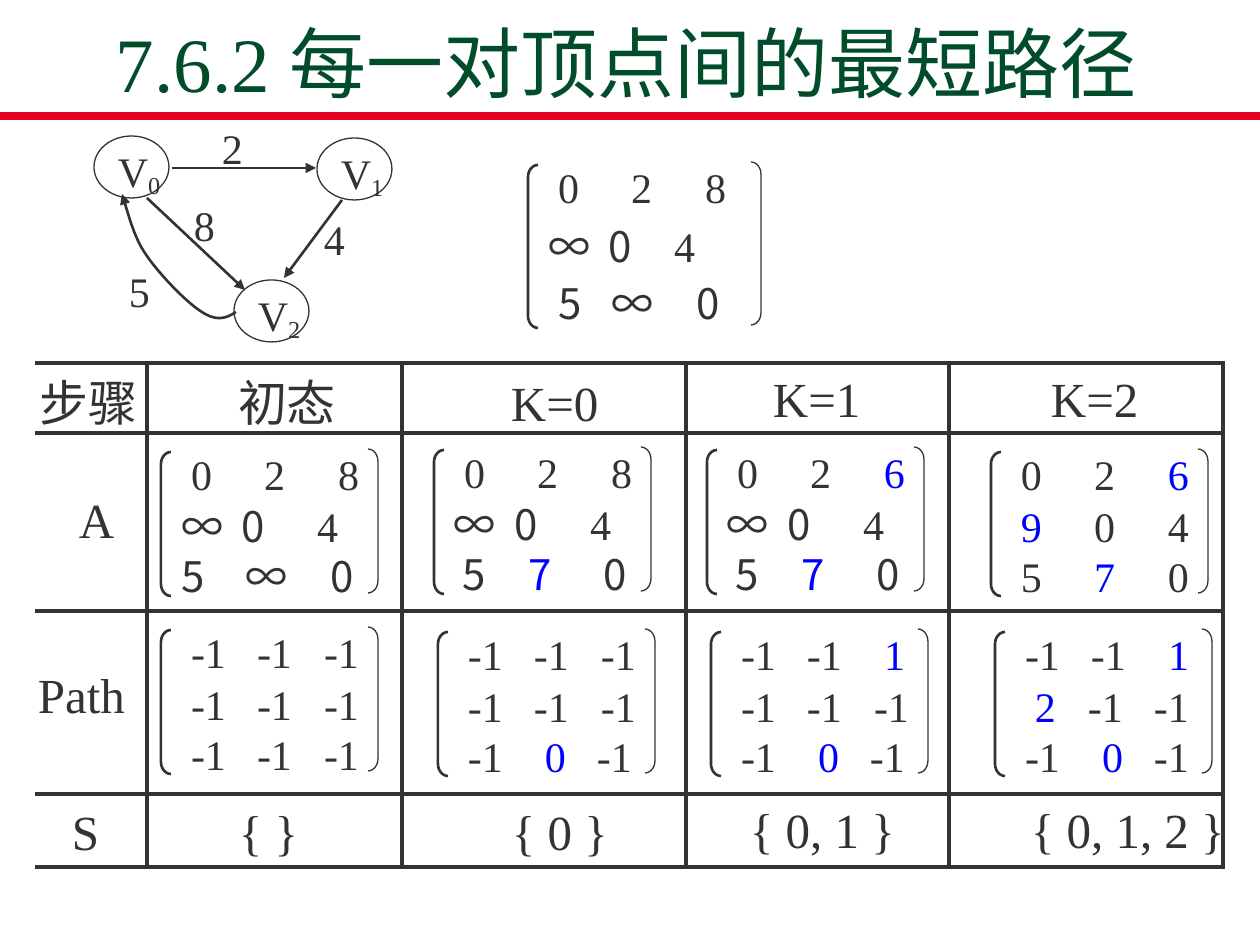
from lxml import etree
from pptx import Presentation
from pptx.dml.color import RGBColor
from pptx.enum.shapes import MSO_CONNECTOR, MSO_SHAPE
from pptx.enum.text import MSO_ANCHOR, PP_ALIGN
from pptx.oxml.ns import qn
from pptx.util import Pt

PX = 914400 // 126
STRAIGHT = MSO_CONNECTOR.STRAIGHT
OVAL, LEFT_BRACKET, RIGHT_BRACKET = MSO_SHAPE.OVAL, MSO_SHAPE.LEFT_BRACKET, MSO_SHAPE.RIGHT_BRACKET
MIDDLE, BOTTOM = MSO_ANCHOR.MIDDLE, MSO_ANCHOR.BOTTOM
LEFT, CENTER = PP_ALIGN.LEFT, PP_ALIGN.CENTER
SERIF, SANS = "Times New Roman", "Noto Sans CJK SC"
INK, BLUE, GREEN, RED = "333333", "0000FF", "004C2B", "E60223"
INSET = 13

TITLE = "7.6.2 每一对顶点间的最短路径"
NODES = [("0", 94, 136), ("1", 317, 138), ("2", 234, 280)]
EDGES = [((342, 200), (284, 278)), ((147, 198), (245, 290)), ((172, 168), (316, 168))]
WEIGHTS = [("4", 311, 205), ("8", 181, 191), ("2", 209, 114), ("5", 116, 257)]
BACK_EDGE = [
    [(236, 312), (227, 318), (217, 322), (202, 312)],
    [(202, 312), (187, 303), (158, 273), (145, 253)],
    [(145, 253), (132, 234), (126, 204), (122, 194)],
]

ROW_STYLES = {
    "digits": ((10, 83, 157), (SERIF, SERIF, SERIF)),
    "infinity": ((0, 60, 136), (SANS, SANS, SERIF)),
    "infinity close": ((0, 60, 126), (SANS, SANS, SERIF)),
    "sans": ((9, 75, 150), (SANS, SANS, SANS)),
    "sans close": ((10, 63, 148), (SANS, SANS, SANS)),
    "sans flush": ((0, 65, 149), (SANS, SANS, SANS)),
    "negative": ((10, 76, 143), (SERIF, SERIF, SERIF)),
    "last digit": ((10, 76, 153), (SERIF, SERIF, SERIF)),
    "middle digit": ((10, 87, 139), (SERIF, SERIF, SERIF)),
    "first digit": ((20, 73, 139), (SERIF, SERIF, SERIF)),
}
BLANK_PATH = ("negative", "-1 -1 -1")
ZERO_PATH = ("middle digit", "-1 *0 -1")
START = ("digits", "0 2 8")
CHANGED = ("digits", "0 2 *6")
UNREACHED = ("infinity", "∞ 0 4")
VIA_ZERO = ("sans", "5 *7 0")
COST_MATRIX = [START, ("infinity close", "∞ 0 4"), ("sans close", "5 ∞ 0")]
STEP_MATRICES = [
    (168, 447, [START, UNREACHED, ("sans flush", "5 ∞ 0")]),
    (441, 445, [START, UNREACHED, VIA_ZERO]),
    (714, 445, [CHANGED, UNREACHED, VIA_ZERO]),
    (998, 447, [CHANGED, ("digits", "*9 0 4"), ("digits", "5 *7 0")]),
    (168, 625, [BLANK_PATH] * 3),
    (445, 627, [BLANK_PATH, BLANK_PATH, ZERO_PATH]),
    (718, 627, [("last digit", "-1 -1 *1"), BLANK_PATH, ZERO_PATH]),
    (1002, 627, [("last digit", "-1 -1 *1"), ("first digit", "*2 -1 -1"), ZERO_PATH]),
]

RULES_Y = [363, 433, 611, 794, 867]
RULES_X = [147, 402, 686, 949, 1223]
LABELS = [
    ("步骤", 27, 367, 118), ("初态", 225, 367, 120),
    ("K=0", 498, 367, 120), ("K=1", 760, 363, 120), ("K=2", 1038, 363, 120),
    ("A", 66, 484, 59), ("Path", 25, 659, 118), ("S", 59, 796, 59),
    ("{ }", 226, 796, 100), ("{ 0 }", 499, 796, 130),
    ("{ 0, 1 }", 737, 794, 180), ("{ 0, 1, 2 }", 1018, 794, 225),
]


def color(value):
    return RGBColor.from_string(value)


def place(shape, left, top, width, height):
    shape.left, shape.top, shape.width, shape.height = (v * PX for v in (left, top, width, height))


def add_run(paragraph, text, size=24, font=SERIF, fill=INK, baseline=None):
    run = paragraph.add_run()
    run.text = text
    run.font.size, run.font.name = Pt(size), font
    run.font.color.rgb = color(fill)
    properties = run._r.get_or_add_rPr()
    etree.SubElement(properties, qn("a:ea")).set("typeface", SANS)
    if baseline:
        properties.set("baseline", str(baseline))


def format_frame(shape, margin=INSET, tabs=()):
    frame = shape.text_frame
    frame.word_wrap = bool(tabs)
    frame.vertical_anchor = MIDDLE
    frame.margin_left = margin * PX
    frame.margin_right = frame.margin_top = frame.margin_bottom = 0
    paragraph = frame.paragraphs[0]
    paragraph.alignment, paragraph.line_spacing = LEFT, 1.2
    if tabs:
        tab_list = etree.SubElement(paragraph._p.get_or_add_pPr(), qn("a:tabLst"))
        for position in tabs:
            etree.SubElement(tab_list, qn("a:tab"), pos=str(position * PX), algn="l")
    return paragraph


def add_text(slide, text, left, top, width, height, **style):
    box = slide.shapes.add_textbox(0, 0, 0, 0)
    place(box, left, top, width, height)
    add_run(format_frame(box), text, **style)


def style_line(shape, width, fill=INK, arrow=False):
    shape.line.color.rgb, shape.line.width = color(fill), Pt(width)
    if arrow:
        etree.SubElement(shape.line._get_or_add_ln(), qn("a:tailEnd"), type="triangle")


def add_line(slide, start, end, width, **style):
    line = slide.shapes.add_connector(STRAIGHT, *(v * PX for v in (*start, *end)))
    style_line(line, width, **style)
    etree.SubElement(line._element.spPr, qn("a:effectLst"))


def add_outline(slide, kind, left, top, width, height, weight):
    shape = slide.shapes.add_shape(kind, 0, 0, 0, 0)
    place(shape, left, top, width, height)
    shape.fill.background()
    style_line(shape, weight)
    shape.shadow.inherit = False
    return shape


def add_matrix(slide, left, top, rows, offsets=(0, 52, 102), height=144, span=207):
    for (style, text), offset in zip(rows, offsets):
        stops, fonts = ROW_STYLES[style]
        box = slide.shapes.add_textbox(0, 0, 0, 0)
        place(box, left, top + offset, 220, 44)
        tabs = [stop - stops[0] for stop in stops[1:]]
        paragraph = format_frame(box, margin=INSET + stops[0], tabs=tabs)
        for index, (entry, font) in enumerate(zip(text.split(), fonts)):
            fill = BLUE if entry.startswith("*") else INK
            add_run(paragraph, "\t" * (index > 0) + entry.lstrip("*"), font=font, fill=fill)
    for kind, x, y, weight in [(LEFT_BRACKET, -7, 5, 1.5), (RIGHT_BRACKET, span - 7, 2, 0.75)]:
        bracket = add_outline(slide, kind, left + x, top + y, 10, height, weight)
        bracket.adjustments[0] = 1.216


def bezier_points(curve, steps=12):
    for step in range(1, steps + 1):
        t = step / steps
        weights = ((1 - t) ** 3, 3 * t * (1 - t) ** 2, 3 * t * t * (1 - t), t ** 3)
        yield tuple(round(PX * sum(w * p[axis] for w, p in zip(weights, curve))) for axis in (0, 1))


def add_graph(slide):
    for subscript, left, top in NODES:
        node = add_outline(slide, OVAL, left, top, 75, 62, 0.75)
        paragraph = format_frame(node)
        add_run(paragraph, "V")
        add_run(paragraph, subscript, baseline=-18000)
    for start, end in EDGES:
        add_line(slide, start, end, 1.5, arrow=True)
    builder = slide.shapes.build_freeform(*(v * PX for v in BACK_EDGE[0][0]))
    builder.add_line_segments([p for curve in BACK_EDGE for p in bezier_points(curve)], close=False)
    back_edge = builder.convert_to_shape()
    back_edge.fill.background()
    back_edge.shadow.inherit = False
    style_line(back_edge, 1.5, arrow=True)
    for text, left, top in WEIGHTS:
        add_text(slide, text, left, top, 53, 57)


def main():
    """Build the all-pairs shortest path slide."""
    presentation = Presentation()
    presentation.slide_width, presentation.slide_height = 1260 * PX, 945 * PX
    slide = presentation.slides.add_slide(presentation.slide_layouts[5])
    add_line(slide, (0, 116), (1260, 116), 4.5, fill=RED)
    title = slide.shapes.title
    place(title, 91, 32, 1071, 82)
    title.text_frame.vertical_anchor = BOTTOM
    title.text_frame.paragraphs[0].alignment = CENTER
    add_run(title.text_frame.paragraphs[0], TITLE, size=44, fill=GREEN)
    add_graph(slide)
    add_matrix(slide, 535, 160, COST_MATRIX, offsets=(0, 59, 116), height=163, span=223)
    for left, top, rows in STEP_MATRICES:
        add_matrix(slide, left, top, rows)
    for text, left, top, width in LABELS:
        add_text(slide, text, left, top, width, 59, size=28)
    for y in RULES_Y:
        add_line(slide, (35, y), (1225, y), 2.25)
    for x in RULES_X:
        add_line(slide, (x, RULES_Y[0]), (x, RULES_Y[-1]), 2.25)
    presentation.save("out.pptx")


if __name__ == "__main__":
    main()
